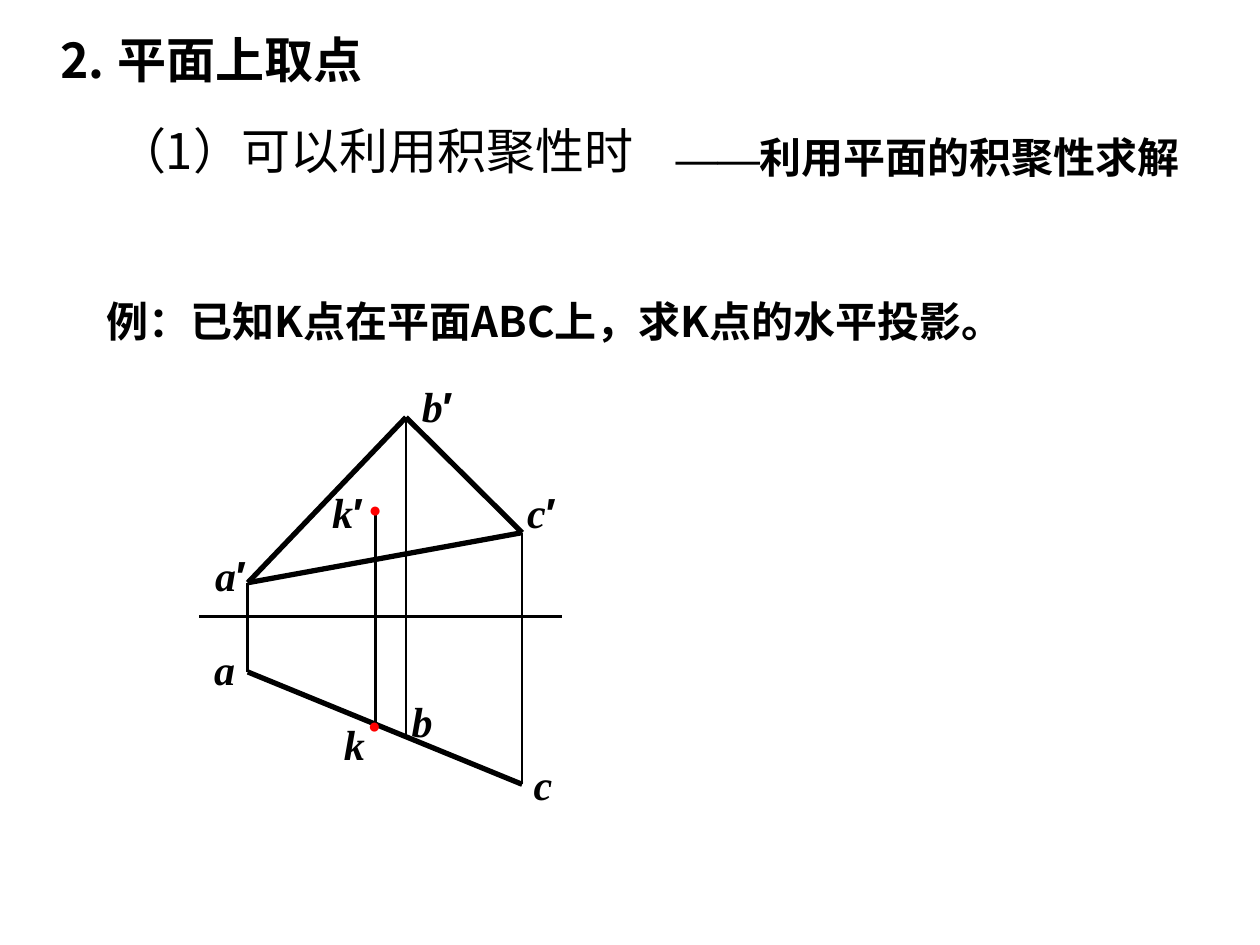
from dataclasses import dataclass

from lxml.etree import SubElement
from pptx import Presentation
from pptx.dml.color import RGBColor
from pptx.enum.shapes import MSO_CONNECTOR
from pptx.enum.text import MSO_ANCHOR, MSO_AUTO_SIZE, PP_ALIGN
from pptx.oxml.ns import qn
from pptx.util import Pt


@dataclass(frozen=True)
class Theme:
    ink: RGBColor = RGBColor(0, 0, 0)
    mark: RGBColor = RGBColor(255, 0, 0)
    chinese: str = "Noto Sans CJK SC"
    letter: str = "Times New Roman"
    prime: str = "Arial"
    heading: int = 28
    body: int = 24
    dot: int = 12
    thick: float = 3
    thin: float = 1.5


class SlideBuilder:
    def __init__(self, slide, theme):
        self.slide = slide
        self.theme = theme

    def text(self, box, runs, align=PP_ALIGN.LEFT, anchor=MSO_ANCHOR.MIDDLE, wrap=True):
        shape = self.slide.shapes.add_textbox(*map(Pt, box))
        frame_format = {
            "word_wrap": wrap,
            "auto_size": MSO_AUTO_SIZE.SHAPE_TO_FIT_TEXT,
            "vertical_anchor": anchor,
        }
        for name, value in frame_format.items():
            setattr(shape.text_frame, name, value)
        paragraph = shape.text_frame.paragraphs[0]
        paragraph.alignment = align
        for content, font_format in runs:
            run = paragraph.add_run()
            run.text = content
            color = font_format.get("color", self.theme.ink)
            run.font.fill.solid()
            run.font.fill.fore_color.rgb = color
            for name, value in font_format.items():
                if name != "color":
                    setattr(run.font, name, value)
            properties = run.font._element
            east_asian = SubElement(properties, qn("a:ea"))
            east_asian.set("typeface", font_format["name"])

    def line(self, start, end, width):
        connector = self.slide.shapes.add_connector(
            MSO_CONNECTOR.STRAIGHT, *map(Pt, (*start, *end))
        )
        connector.line.color.rgb = self.theme.ink
        connector.line.width = Pt(width)
        SubElement(connector._element.spPr, qn("a:effectLst"))

    def label(self, left, top, content):
        theme = self.theme
        letter_format = {"size": Pt(theme.body), "name": theme.letter, "bold": True, "italic": True}
        prime_format = letter_format | {"name": theme.prime, "italic": False}
        runs = [(content[0], letter_format)]
        if len(content) > 1:
            runs.append((content[1:], prime_format))
        width = 34.5 if len(content) > 1 else 26
        self.text((left, top, width, 36), runs, PP_ALIGN.CENTER, wrap=False)

    def dot(self, left, top):
        theme = self.theme
        dot_format = {"size": Pt(theme.dot), "name": theme.letter, "bold": True, "color": theme.mark}
        self.text((left, top, 21.6, 21.6), [("●", dot_format)], PP_ALIGN.CENTER, wrap=False)


def main():
    presentation = Presentation()
    presentation.slide_width, presentation.slide_height = Pt(720), Pt(540)
    slide = presentation.slides.add_slide(presentation.slide_layouts[6])
    theme = Theme()
    builder = SlideBuilder(slide, theme)

    heading = {"size": Pt(theme.heading), "name": theme.chinese, "bold": True}
    subheading = heading | {"bold": False}
    body = heading | {"size": Pt(theme.body)}
    dash = body | {"name": theme.letter}

    builder.text((26, 13, 266.4, 41), [("⒉ 平面上取点", heading)])
    builder.text((59.8, 65.5, 391, 41), [("（1）可以利用积聚性时", subheading)], anchor=MSO_ANCHOR.TOP)
    builder.text((54, 165, 638, 36), [("例：已知K点在平面ABC上，求K点的水平投影。", body)])
    builder.text(
        (371.5, 71.3, 317.5, 36),
        [("——", dash), ("利用平面的积聚性求解", body)],
        PP_ALIGN.CENTER,
    )

    a_x, b_x, c_x, k_x = 141.6, 232, 298.4, 214.6
    a_front, b_front, c_front = (a_x, 333), (b_x, 238.5), (c_x, 304.4)
    a_top, b_top, c_top = (a_x, 384), (b_x, 420.5), (c_x, 448.2)

    for start, end in ((a_front, c_front), (a_front, b_front), (b_front, c_front), (a_top, c_top)):
        builder.line(start, end, theme.thick)

    thin_lines = (
        ((113.8, 352.2), (321, 352.2)),
        (a_front, a_top),
        (b_front, b_top),
        (c_front, c_top),
        ((k_x, 291), (k_x, 416)),
    )
    for start, end in thin_lines:
        builder.line(start, end, theme.thin)

    labels = (
        (114.5, 310.3, "a′"),
        (232.6, 213.8, "b′"),
        (292.2, 274.3, "c′"),
        (181.4, 274.3, "k′"),
        (115.2, 364.3, "a"),
        (228.2, 393.8, "b"),
        (297.2, 429.8, "c"),
        (189.4, 406.8, "k"),
    )
    for left, top, content in labels:
        builder.label(left, top, content)

    for left, top in ((203.6, 280), (203.2, 403.4)):
        builder.dot(left, top)

    presentation.save("out.pptx")


if __name__ == "__main__":
    main()
